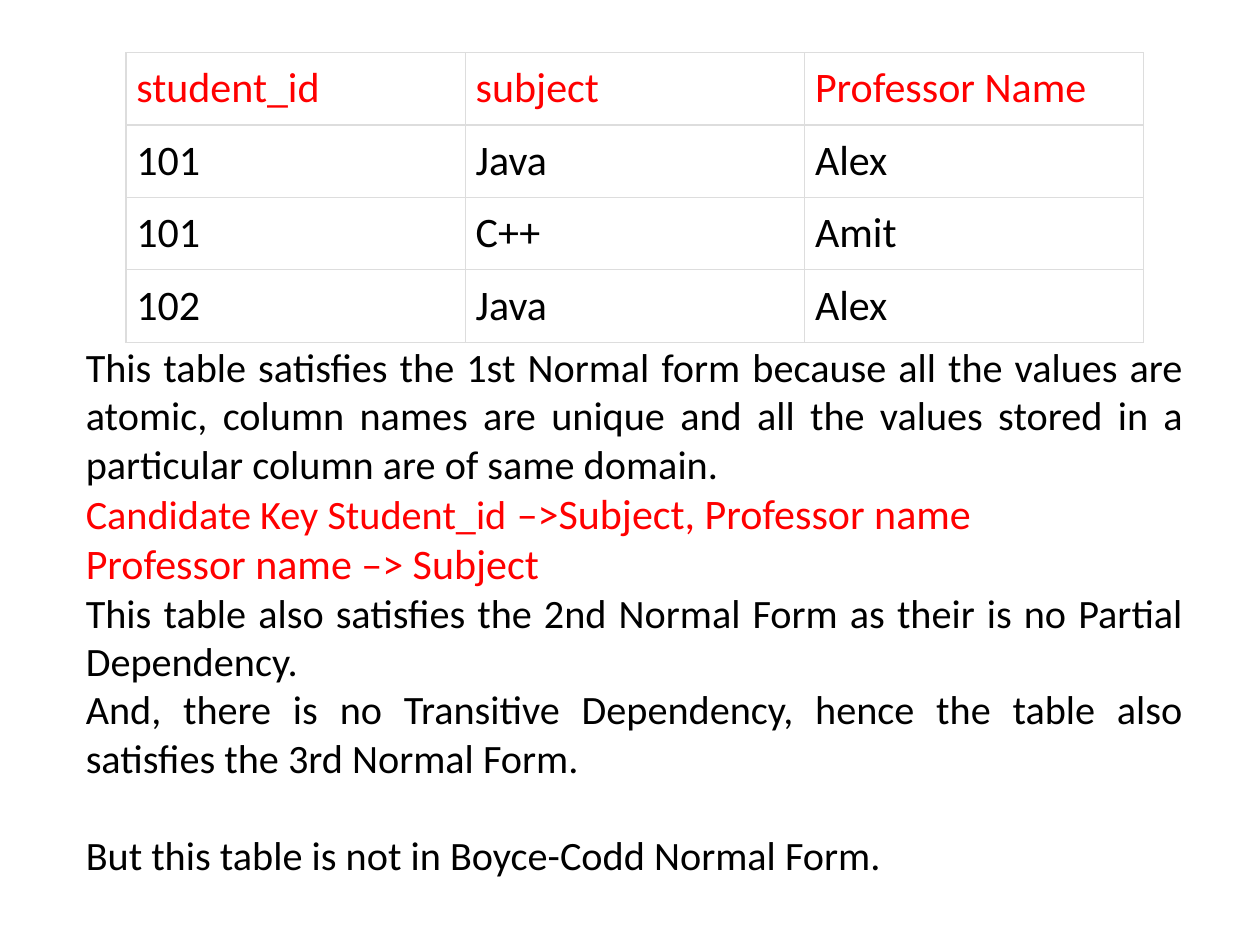
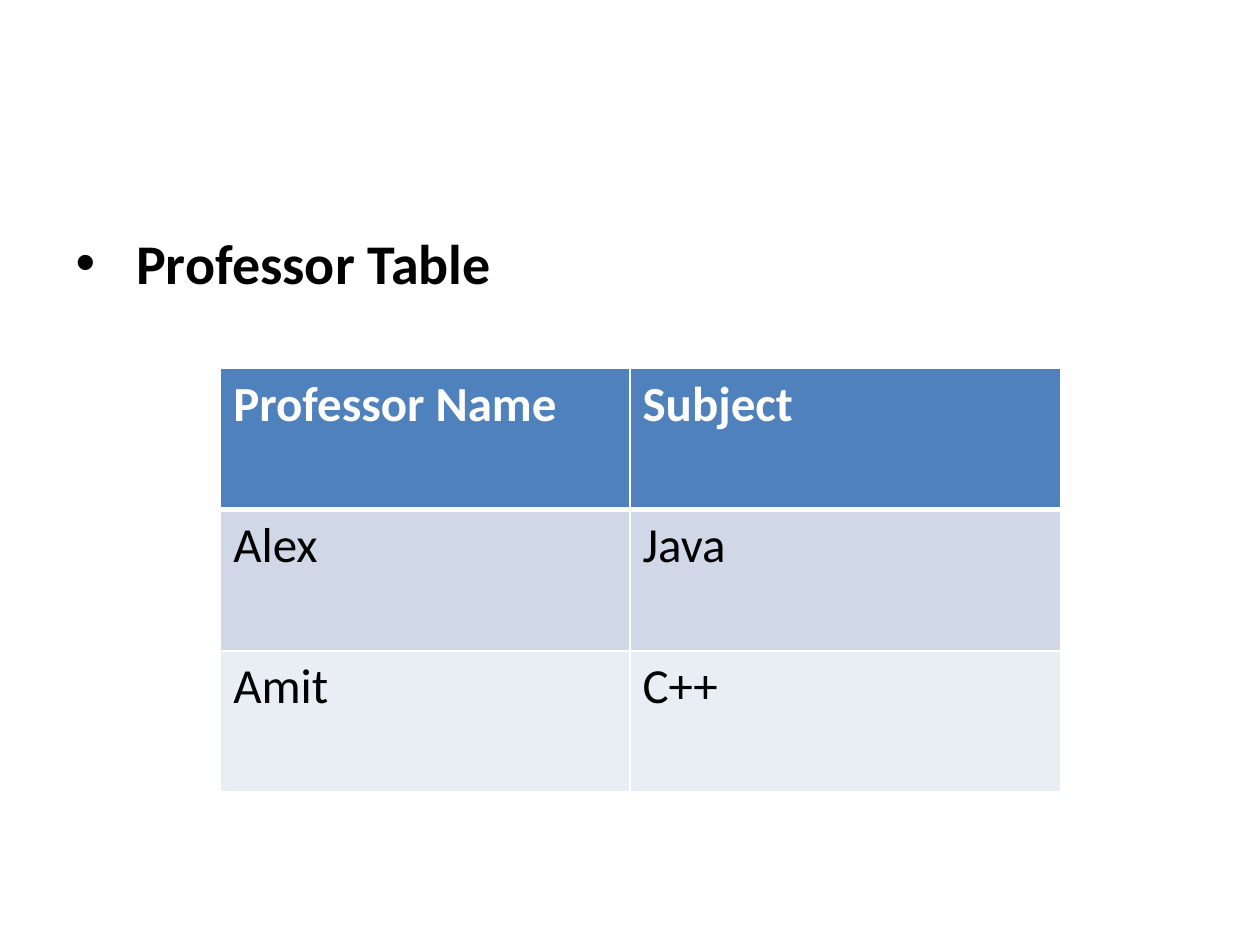
"""Build two slides on Boyce-Codd Normal Form: a student table and a professor table."""
from lxml.etree import SubElement
from pptx import Presentation
from pptx.dml.color import RGBColor
from pptx.enum.text import MSO_AUTO_SIZE, PP_ALIGN
from pptx.oxml.ns import qn
from pptx.util import Cm, Pt

FONT = "Calibri"
COLOURS = {
    "text": "000000",
    "accent": "FF0000",
    "grid": "DDDDDD",
    "white": "FFFFFF",
    "header": "4F81BD",
    "band_dark": "D0D8E8",
    "band_light": "E9EDF4",
}


def add_run(paragraph, text, size, colour="text", bold=False):
    run = paragraph.add_run()
    run.text = text
    run.font.name = FONT
    run.font.size = Pt(size)
    run.font.bold = bold
    run.font.color.rgb = RGBColor.from_string(COLOURS[colour])


def set_border(cell, side, colour, width):
    properties = cell._tc.get_or_add_tcPr()
    line = SubElement(properties, qn(f"a:ln{side}"), w=str(Pt(width)))
    fill = SubElement(line, qn("a:solidFill"))
    SubElement(fill, qn("a:srgbClr"), val=COLOURS[colour])


def add_table(slide, left, top, column_widths, row_height, rows):
    shape = slide.shapes.add_table(
        len(rows), len(column_widths), Cm(left), Cm(top),
        Cm(sum(column_widths)), Cm(row_height * len(rows)))
    table = shape.table
    table.first_row = False
    table.horz_banding = False
    for column, width in zip(table.columns, column_widths):
        column.width = Cm(width)
    for row in table.rows:
        row.height = Cm(row_height)
    return table


def fill_cell(cell, text, size, colour, borders, background=None, bold=False):
    line_colour, widths = borders
    for side, width in zip("LRTB", widths):
        set_border(cell, side, line_colour, width)
    if background:
        cell.fill.solid()
        cell.fill.fore_color.rgb = RGBColor.from_string(COLOURS[background])
    else:
        cell.fill.background()
    add_run(cell.text_frame.paragraphs[0], text, size, colour, bold)


def add_student_table(slide):
    rows = [
        ("student_id", "subject", "Professor Name"),
        ("101", "Java", "Alex"),
        ("101", "C++", "Amit"),
        ("102", "Java", "Alex"),
    ]
    table = add_table(slide, 2.54, 1.06, [6.84] * 3, 1.46, rows)
    for row_index, row in enumerate(rows):
        colour = "text" if row_index else "accent"
        for column_index, text in enumerate(row):
            cell = table.cell(row_index, column_index)
            cell.margin_left = cell.margin_right = Cm(0.21)
            cell.margin_top = cell.margin_bottom = Cm(0.21)
            fill_cell(cell, text, 24, colour, ("grid", [0.75] * 4))


def add_professor_table(slide):
    rows = [("Professor Name", "Subject"), ("Alex", "Java"), ("Amit", "C++")]
    styles = [
        ("white", "header", (1, 1, 1, 3)),
        ("text", "band_dark", (1, 1, 3, 1)),
        ("text", "band_light", (1, 1, 1, 1)),
    ]
    table = add_table(slide, 4.45, 7.42, [8.25, 8.69], 2.85, rows)
    for row_index, (row, style) in enumerate(zip(rows, styles)):
        colour, background, widths = style
        for column_index, text in enumerate(row):
            fill_cell(table.cell(row_index, column_index), text, 28, colour,
                      ("white", widths), background, bold=row_index == 0)


def add_explanation(slide):
    paragraphs = [
        [("This table satisfies the 1st Normal form because all the values are "
          "atomic, column names are unique and all the values stored in a "
          "particular column are of same domain.", 23, "text")],
        [("Candidate Key Student_id", 23, "accent"),
         (" –>Subject, Professor name", 24, "accent")],
        [("Professor name –> Subject", 24, "accent")],
        [("This table also satisfies the 2nd Normal Form as their is no "
          "Partial Dependency.", 23, "text")],
        [("And, there is no Transitive Dependency, hence the table also "
          "satisfies the 3rd Normal Form.", 23, "text")],
        [("But this table is not in Boyce-Codd Normal Form.", 23, "text")],
    ]
    shape = slide.shapes.add_textbox(Cm(1.48), Cm(6.78), Cm(22.66), Cm(11.15))
    frame = shape.text_frame
    frame.word_wrap = True
    frame.auto_size = MSO_AUTO_SIZE.SHAPE_TO_FIT_TEXT
    for index, runs in enumerate(paragraphs):
        paragraph = frame.add_paragraph() if index else frame.paragraphs[0]
        paragraph.alignment = PP_ALIGN.JUSTIFY
        for text, size, colour in runs:
            add_run(paragraph, text, size, colour)
    frame.paragraphs[-1].space_before = Pt(28)


def add_bullet_heading(slide, text):
    body = slide.placeholders[1]
    body.left, body.top = Cm(1.27), Cm(4.47)
    body.width, body.height = Cm(22.86), Cm(12.57)
    paragraph = body.text_frame.paragraphs[0]
    properties = paragraph._p.get_or_add_pPr()
    properties.set("marL", str(Cm(1.22)))
    properties.set("indent", str(-Cm(1.22)))
    paragraph.space_before = Pt(0)
    add_run(paragraph, text, 32, bold=True)


def main():
    presentation = Presentation()
    presentation.slide_width = Cm(25.4)
    presentation.slide_height = Cm(19.05)

    student_slide = presentation.slides.add_slide(presentation.slide_layouts[6])
    add_student_table(student_slide)
    add_explanation(student_slide)

    professor_slide = presentation.slides.add_slide(presentation.slide_layouts[1])
    title = professor_slide.shapes.title
    title.element.getparent().remove(title.element)
    add_bullet_heading(professor_slide, "Professor Table")
    add_professor_table(professor_slide)

    presentation.save("out.pptx")


if __name__ == "__main__":
    main()
